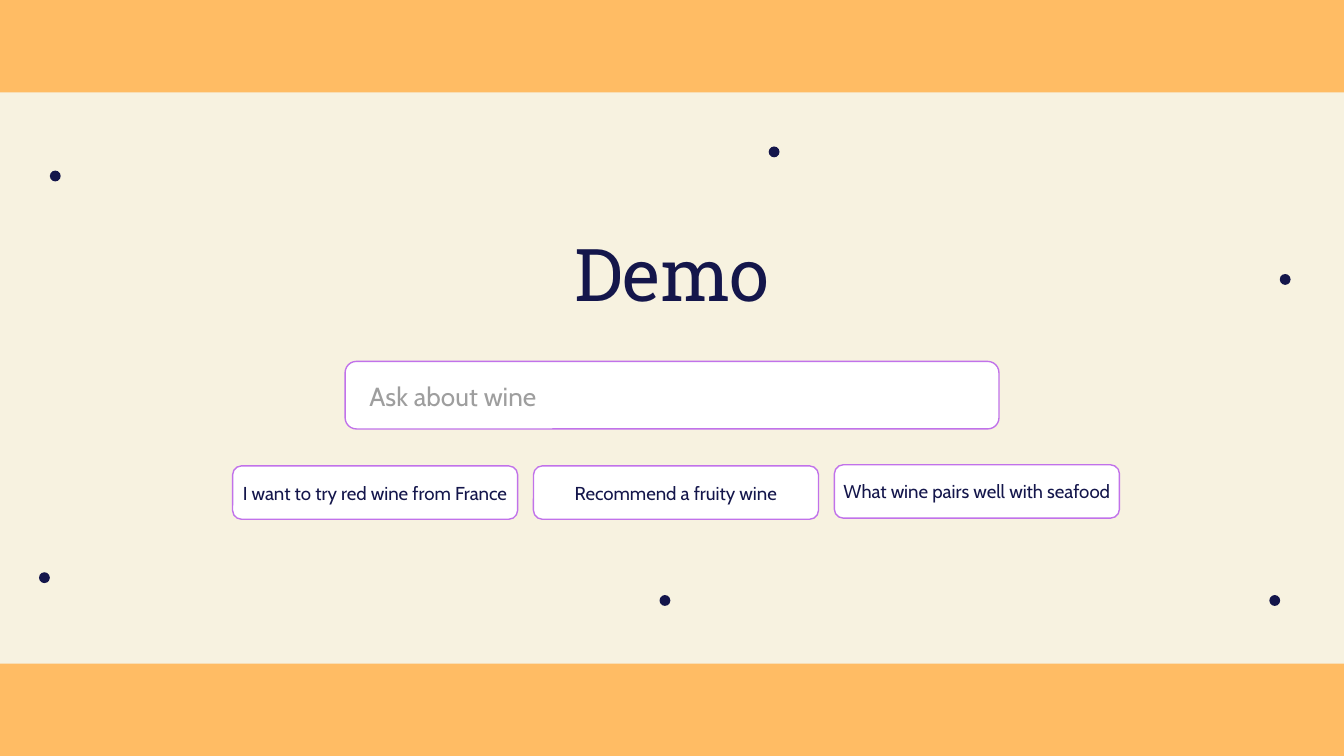
import pptx
import pptx.dml.color
import pptx.enum.shapes
import pptx.enum.text
import pptx.util

Pt = pptx.util.Pt
RGBColor = pptx.dml.color.RGBColor
Shape = pptx.enum.shapes.MSO_SHAPE
Align = pptx.enum.text.PP_ALIGN

CREAM = RGBColor(0xF7, 0xF2, 0xE0)
ORANGE = RGBColor(0xFF, 0xBC, 0x64)
NAVY = RGBColor(0x14, 0x16, 0x4B)
PURPLE = RGBColor(0xC1, 0x72, 0xEA)
WHITE = RGBColor(0xFF, 0xFF, 0xFF)
GREY = RGBColor(0x9E, 0x9E, 0x9E)

WIDTH, HEIGHT = 720, 405
BAND_HEIGHT = 49.5
DOT_SIZE = 5.8
TEXT_HEIGHT = 45.4

deck = pptx.Presentation()
deck.slide_width, deck.slide_height = Pt(WIDTH), Pt(HEIGHT)
page = deck.slides.add_slide(deck.slide_layouts[5])
page.background.fill.solid()
page.background.fill.fore_color.rgb = CREAM


def add_shape(kind, left, top, width, height, fill, line=None):
    shape = page.shapes.add_shape(kind, Pt(left), Pt(top), Pt(width), Pt(height))
    shape.shadow.inherit = False
    shape.fill.solid()
    shape.fill.fore_color.rgb = fill
    if line is None:
        shape.line.fill.background()
    else:
        shape.line.color.rgb = line
        shape.line.width = Pt(0.75)
        shape.adjustments[0] = 0.167
    return shape


def write_text(text, left, top, width, box=None, size=10, font="Cabin",
               color=NAVY, align=Align.CENTER):
    """Fill the given box, or a new text box, with one line of text."""
    if box is None:
        box = page.shapes.add_textbox(0, 0, 0, 0)
    box.left, box.top = Pt(left), Pt(top)
    box.width, box.height = Pt(width), Pt(TEXT_HEIGHT)
    frame = box.text_frame
    frame.word_wrap = True
    frame.auto_size = pptx.enum.text.MSO_AUTO_SIZE.NONE
    frame.vertical_anchor = pptx.enum.text.MSO_ANCHOR.MIDDLE
    frame.margin_left = frame.margin_right = Pt(7.2)
    frame.margin_top = frame.margin_bottom = Pt(7.2)
    para = frame.paragraphs[0]
    para.alignment = align
    span = para.add_run()
    span.text = text
    span.font.size = Pt(size)
    span.font.name = font
    span.font.color.rgb = color


# Background bands and dots
for top in (0, HEIGHT - BAND_HEIGHT):
    add_shape(Shape.RECTANGLE, 0, top, WIDTH, BAND_HEIGHT, ORANGE)

dots = [(20.9, 306.6), (26.7, 91.4), (685.6, 146.8),
        (411.8, 78.5), (680, 318.8), (353.3, 318.8)]
for left, top in dots:
    add_shape(Shape.OVAL, left, top, DOT_SIZE, DOT_SIZE, NAVY)

# Title
write_text("Demo", 184.7, 123.1, 350.6, box=page.shapes.title,
           size=39, font="Roboto Slab")

# Search field
add_shape(Shape.ROUNDED_RECTANGLE, 184.9, 193.6, 350.3, 36.2, WHITE, PURPLE)
write_text("Ask about wine", 190.8, 189.4, 208.8,
           size=14, color=GREY, align=Align.LEFT)

# Suggested questions
suggestions = [("I want to try red wine from France", 249.6),
               ("Recommend a fruity wine", 249.6),
               ("What wine pairs well with seafood", 249)]
for index, (question, top) in enumerate(suggestions):
    left = 124.6 + 161.2 * index
    add_shape(Shape.ROUNDED_RECTANGLE, left, top, 152.7, 28.6, WHITE, PURPLE)
    write_text(question, left - 6.3, top - 8.4, 165)

deck.save("out.pptx")
